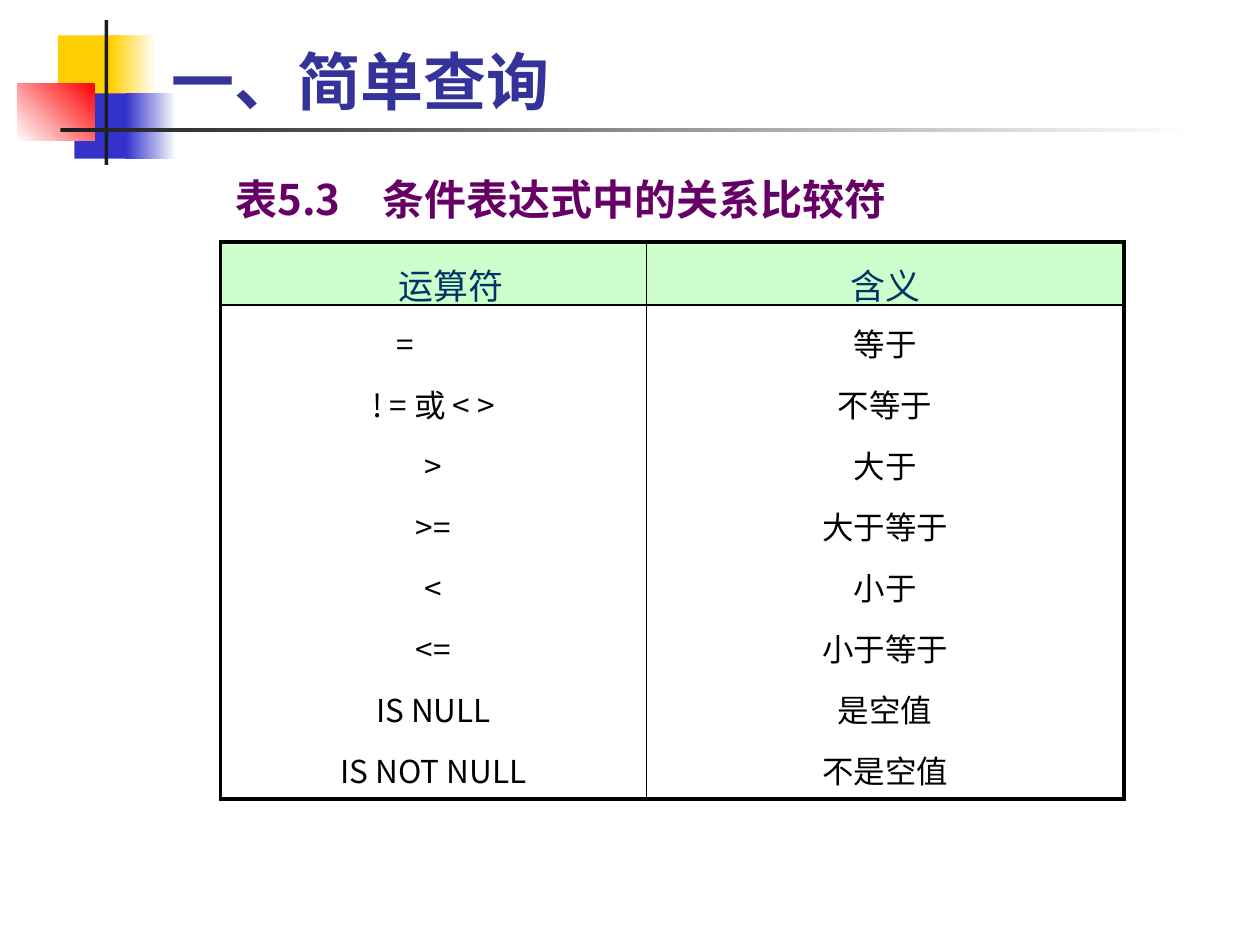
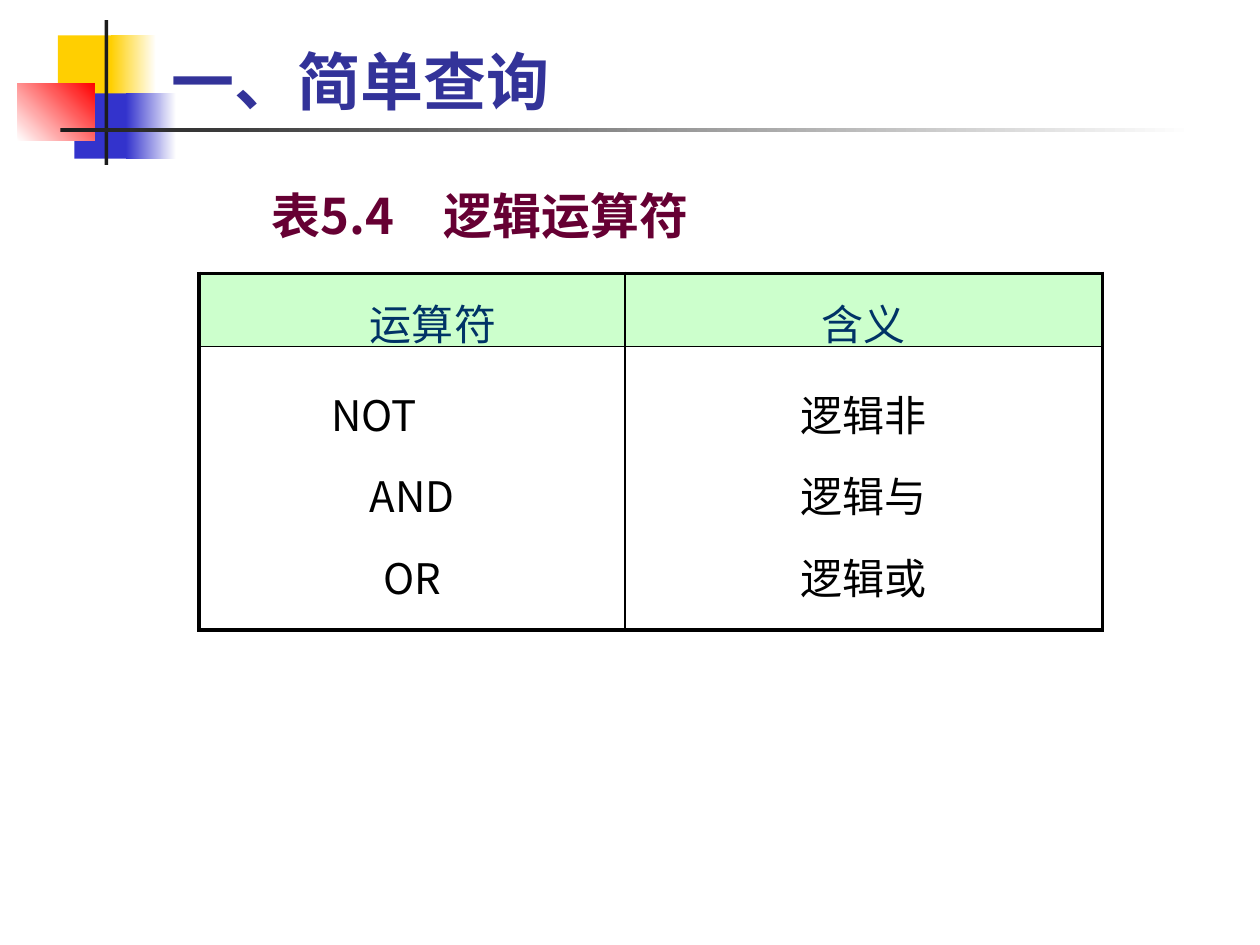
from dataclasses import dataclass

from lxml.etree import SubElement
from pptx import Presentation
from pptx.dml.color import RGBColor
from pptx.enum.shapes import MSO_SHAPE
from pptx.enum.text import MSO_ANCHOR, PP_ALIGN
from pptx.oxml.ns import qn
from pptx.slide import Slide
from pptx.table import _Cell
from pptx.text.text import TextFrame, _Paragraph
from pptx.util import Inches, Pt

CJK_FONT = "Noto Sans CJK SC"
HEADING_FONT = "Cabin"
BLACK, WHITE, CHARCOAL = "000000", "FFFFFF", "1C1C1C"
YELLOW, BLUE, RED = "FFCF01", "3333CC", "FF0000"
TITLE_BLUE, HEADER_TEXT, HEADER_FILL = "333399", "003366", "CCFFCC"
OUTER_BORDER, INNER_BORDER = 2.25, 1
CELL_MARGIN = 0.1
COLUMN_WIDTHS = (3.38, 3.79)
HEADER_HEIGHT = 0.5
HEADERS = ("　运算符", "含义")
TITLE = "一、简单查询"


@dataclass(frozen=True)
class Block:
    """A decorative rectangle; an end colour makes it a gradient."""
    left: float
    top: float
    width: float
    height: float
    color: str
    end_color: str | None = None
    angle: float = 0


@dataclass(frozen=True)
class TextStyle:
    size: float
    color: str
    name: str = CJK_FONT
    bold: bool = False


@dataclass(frozen=True)
class Caption:
    text: str
    left: float
    top: float
    height: float
    indent: float
    style: TextStyle


@dataclass(frozen=True)
class OperatorTable:
    left: float
    top: float
    body_height: float
    header_size: float
    body_size: float
    anchor: MSO_ANCHOR
    first_shift: float  # extra room right of the first operator
    rows: tuple[tuple[str, str], ...]


DECORATION = (
    Block(0.46, 0.28, 0.48, 0.52, YELLOW),
    Block(0.88, 0.28, 0.36, 0.52, YELLOW, WHITE),
    Block(0.59, 0.74, 0.46, 0.52, BLUE),
    Block(1, 0.74, 0.4, 0.52, BLUE, WHITE),
    Block(0.14, 0.66, 0.61, 0.46, WHITE, RED, 45),
    Block(0.83, 0.16, 0.03, 1.15, CHARCOAL),
    Block(0.48, 1.02, 9, 0.03, CHARCOAL, WHITE),
)

PAGES = (
    (
        Caption("表5.3　条件表达式中的关系比较符", 1.25, 1.33, 0.5, 0.52,
                TextStyle(24, "660066", bold=True)),
        OperatorTable(1.75, 1.92, 3.92, 20, 18, MSO_ANCHOR.TOP, 0.44, (
            ("=", "等于"),
            ("! = 或 < >", "不等于"),
            (">", "大于"),
            (">=", "大于等于"),
            ("<", "小于"),
            ("<=", "小于等于"),
            ("IS NULL", "是空值"),
            ("IS NOT NULL", "不是空值"),
        )),
    ),
    (
        Caption("表5.4　逻辑运算符", 1.08, 1.42, 0.57, 0.98,
                TextStyle(28, "660033", bold=True)),
        OperatorTable(1.58, 2.17, 2.25, 24, 24, MSO_ANCHOR.MIDDLE, 0.6, (
            ("NOT", "逻辑非"),
            ("AND", "逻辑与"),
            ("OR", "逻辑或"),
        )),
    ),
)


def rgb(color: str) -> RGBColor:
    return RGBColor.from_string(color)


def style_paragraph(para: _Paragraph, style: TextStyle, indent: float = 0) -> None:
    font = para.font
    font.size = Pt(style.size)
    font.bold = style.bold
    font.name = style.name
    font.color.rgb = rgb(style.color)
    properties = para._p.get_or_add_pPr()
    properties.set("marL", str(Inches(indent)))
    properties.set("indent", "0")
    SubElement(properties.find(qn("a:defRPr")), qn("a:ea"), typeface=CJK_FONT)


def add_block(page: Slide, block: Block) -> None:
    shape = page.shapes.add_shape(
        MSO_SHAPE.RECTANGLE, Inches(block.left), Inches(block.top),
        Inches(block.width), Inches(block.height))
    shape.shadow.inherit = False
    shape.line.fill.background()
    if block.end_color is None:
        shape.fill.solid()
        shape.fill.fore_color.rgb = rgb(block.color)
        return
    shape.fill.gradient()
    shape.fill.gradient_angle = block.angle
    for stop, color in zip(shape.fill.gradient_stops, (block.color, block.end_color)):
        stop.color.rgb = rgb(color)


def add_text(page: Slide, text: str, left: float, top: float, width: float,
             height: float, style: TextStyle, indent: float = 0) -> TextFrame:
    box = page.shapes.add_textbox(Inches(left), Inches(top), Inches(width), Inches(height))
    frame = box.text_frame
    frame.word_wrap = True
    para = frame.paragraphs[0]
    para.text = text
    style_paragraph(para, style, indent)
    return frame


def set_borders(cell: _Cell, row: int, column: int) -> None:
    """Draw heavy lines on the table's outside and thin lines within (2 by 2)."""
    outside = {"L": column == 0, "R": column == 1, "T": row == 0, "B": row == 1}
    properties = cell._tc.get_or_add_tcPr()
    for side, is_outer in outside.items():
        width = Pt(OUTER_BORDER if is_outer else INNER_BORDER)
        line = SubElement(properties, qn(f"a:ln{side}"), w=str(width))
        fill = SubElement(line, qn("a:solidFill"))
        SubElement(fill, qn("a:srgbClr"), val=BLACK)


def fill_cell(cell: _Cell, lines: tuple[str, ...], style: TextStyle,
              first_shift: float = 0) -> None:
    """Centre the lines; first_shift moves the first one left by half of it."""
    cell.margin_right = Inches(CELL_MARGIN + first_shift)
    frame = cell.text_frame
    for index, text in enumerate(lines):
        para = frame.add_paragraph() if index else frame.paragraphs[0]
        para.text = text
        para.alignment = PP_ALIGN.CENTER
        para.line_spacing = 1.2
        if index:
            para.space_before = Pt(style.size * 0.2)
        style_paragraph(para, style, first_shift if index else 0)


def add_operator_table(page: Slide, spec_table: OperatorTable) -> None:
    heights = (HEADER_HEIGHT, spec_table.body_height)
    table = page.shapes.add_table(
        2, 2, Inches(spec_table.left), Inches(spec_table.top),
        Inches(sum(COLUMN_WIDTHS)), Inches(sum(heights))).table
    table.first_row = table.horz_banding = False
    for row, height in zip(table.rows, heights):
        row.height = Inches(height)
    header_style = TextStyle(spec_table.header_size, HEADER_TEXT, HEADING_FONT)
    body_style = TextStyle(spec_table.body_size, BLACK)
    shifts = (spec_table.first_shift, 0)
    for column, lines in enumerate(zip(*spec_table.rows)):
        table.columns[column].width = Inches(COLUMN_WIDTHS[column])
        header, body = table.cell(0, column), table.cell(1, column)
        set_borders(header, 0, column)
        set_borders(body, 1, column)
        header.fill.solid()
        header.fill.fore_color.rgb = rgb(HEADER_FILL)
        body.fill.background()
        body.vertical_anchor = spec_table.anchor
        fill_cell(header, (HEADERS[column],), header_style)
        fill_cell(body, lines, body_style, shifts[column])


def main() -> None:
    deck = Presentation()
    deck.slide_width, deck.slide_height = Inches(10), Inches(7.5)
    for caption, operators in PAGES:
        page = deck.slides.add_slide(deck.slide_layouts[6])
        for block in DECORATION:
            add_block(page, block)
        add_text(page, caption.text, caption.left, caption.top, 6.58,
                 caption.height, caption.style, caption.indent)
        add_operator_table(page, operators)
        title = add_text(page, TITLE, 1.26, 0.08, 8.52, 0.91,
                         TextStyle(36, TITLE_BLUE, HEADING_FONT, True))
        title.vertical_anchor = MSO_ANCHOR.BOTTOM
    deck.save("out.pptx")


if __name__ == "__main__":
    main()
